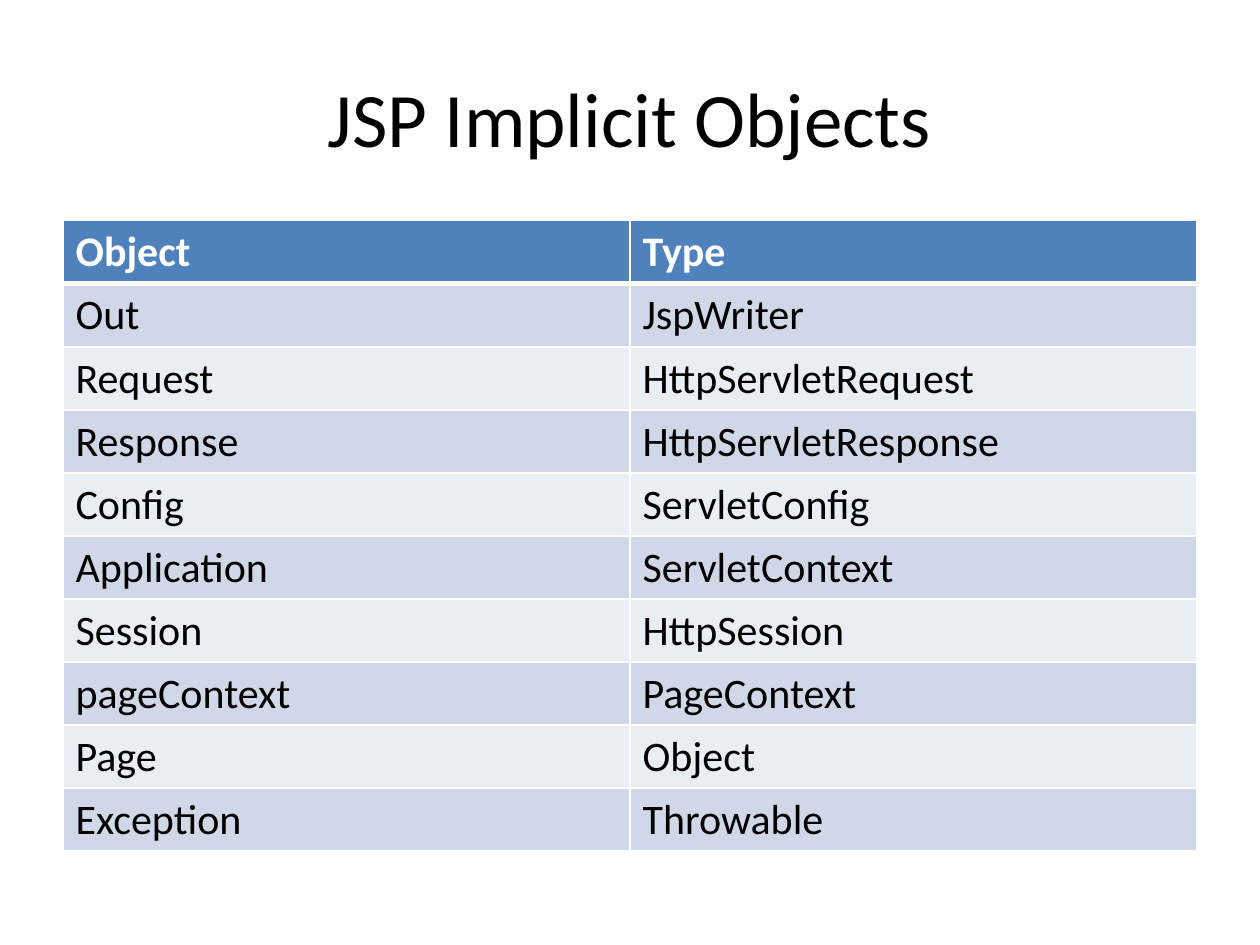
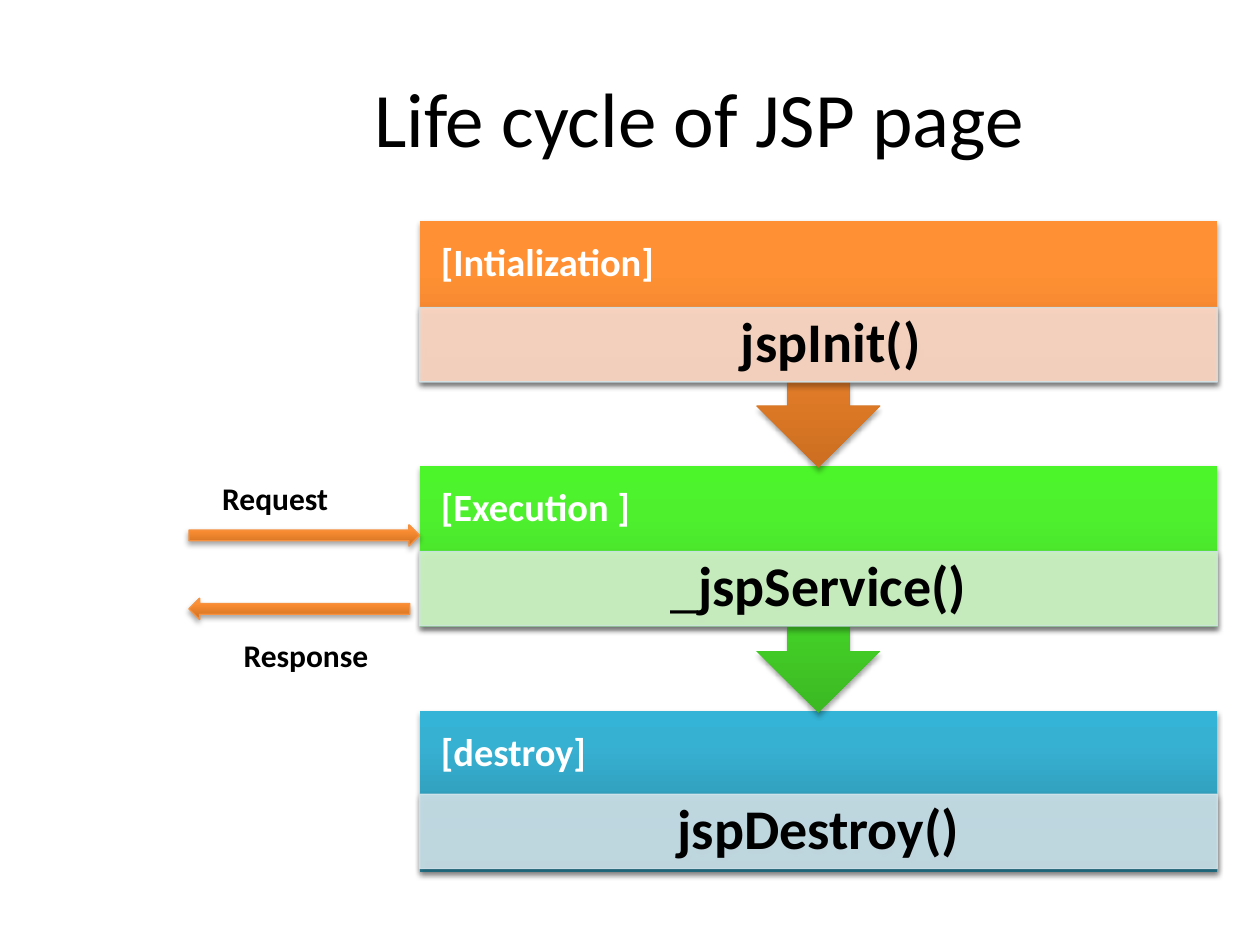
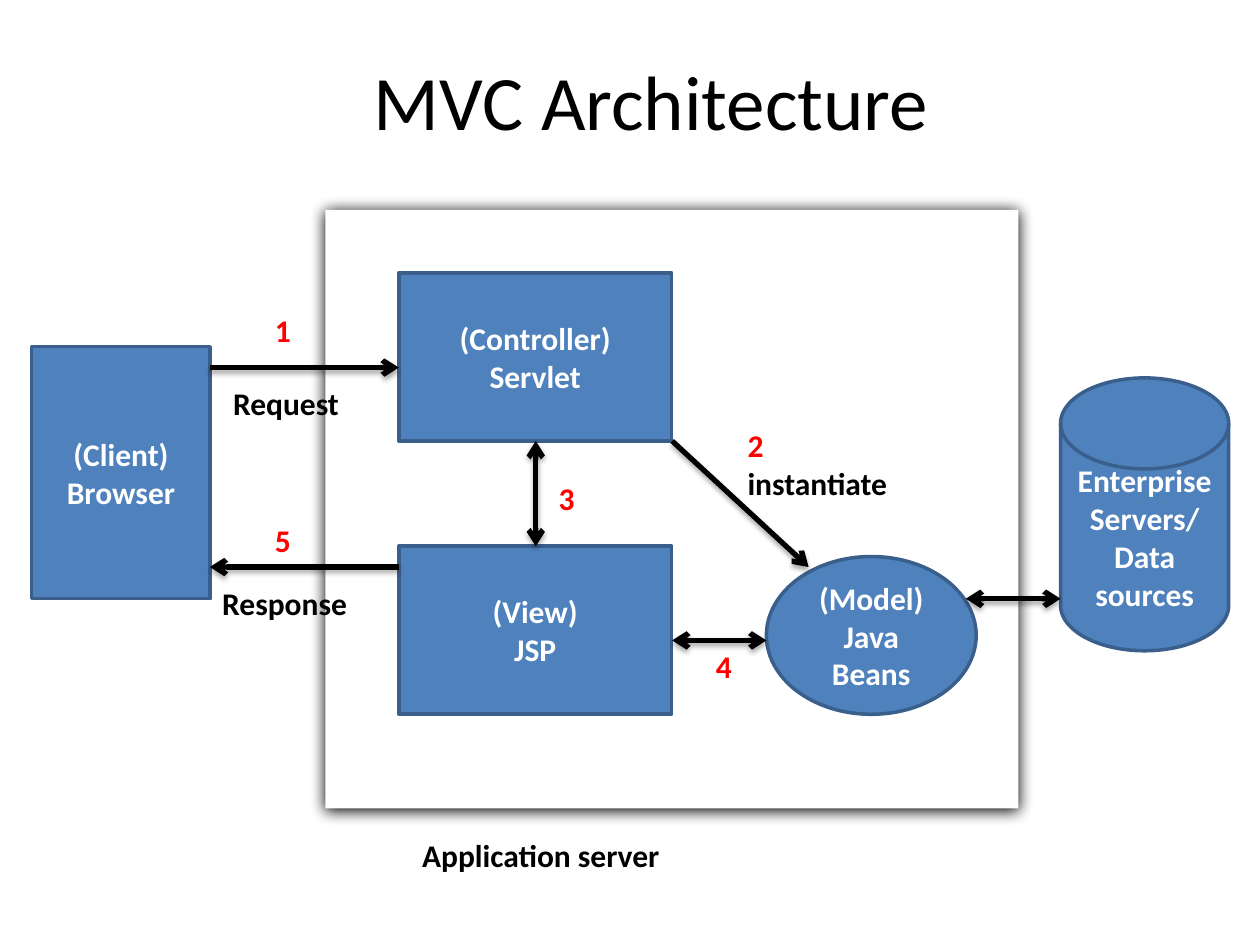
from lxml.etree import SubElement
from pptx import Presentation
from pptx.dml.color import RGBColor
from pptx.enum.shapes import MSO_CONNECTOR, MSO_SHAPE
from pptx.enum.text import MSO_ANCHOR, MSO_AUTO_SIZE, PP_ALIGN
from pptx.oxml.ns import qn
from pptx.util import Cm, Pt

FONT = "Calibri"
BLACK = RGBColor(0x00, 0x00, 0x00)
WHITE = RGBColor(0xFF, 0xFF, 0xFF)
RED = RGBColor(0xFF, 0x00, 0x00)
BLUE = RGBColor(0x4F, 0x81, 0xBD)
BLUE_EDGE = RGBColor(0x3A, 0x5F, 0x8C)
ROW_DARK = RGBColor(0xD0, 0xD8, 0xE8)
ROW_LIGHT = RGBColor(0xE9, 0xED, 0xF4)
BAND_EDGE = RGBColor(0xD0, 0xE3, 0xEA)
ARROW_EDGE = RGBColor(0xF6, 0x92, 0x40)
PEACH = RGBColor(0xFC, 0xDD, 0xCF)
MINT = RGBColor(0xD6, 0xF4, 0xCE)
ORANGES = (RGBColor(0xCC, 0x6E, 0x20), RGBColor(0xFF, 0x90, 0x34), RGBColor(0xFF, 0x91, 0x36))
GREENS = (RGBColor(0x3C, 0xB9, 0x23), RGBColor(0x4E, 0xF0, 0x2E), RGBColor(0x4C, 0xF5, 0x2A))
TEALS = (RGBColor(0x2A, 0x88, 0xA2), RGBColor(0x37, 0xB1, 0xD2), RGBColor(0x34, 0xB4, 0xD6))

SOFT = {"alpha": 35, "blur": 3.1, "dist": 1.8}
STRONG = {"alpha": 100, "blur": 8.5, "dist": 1}

OBJECTS = [
    ("Object", "Type"),
    ("Out", "JspWriter"),
    ("Request", "HttpServletRequest"),
    ("Response", "HttpServletResponse"),
    ("Config", "ServletConfig"),
    ("Application", "ServletContext"),
    ("Session", "HttpSession"),
    ("pageContext", "PageContext"),
    ("Page", "Object"),
    ("Exception", "Throwable"),
]

CALLOUT, BOX = MSO_SHAPE.DOWN_ARROW_CALLOUT, MSO_SHAPE.RECTANGLE
PHASES = [
    ("[Intialization]", [("jspInit()", True)], CALLOUT, 4.98, ORANGES, PEACH, 1.75, 1.14),
    ("[Execution ]", [("_", False), ("jspService()", True)], CALLOUT, 4.98, GREENS, MINT, 1.73, 0.64),
    ("[destroy]", [("jspDestroy()", True)], BOX, 3.25, TEALS, BAND_EDGE, 1.68, 0.64),
]
PHASE_LEFT, PHASE_TOP, PHASE_WIDTH, PHASE_PITCH = 8.46, 4.45, 16.08, 4.94
HEADER_HEIGHT, BAND_HEIGHT = 1.75, 1.5

MESSAGES = [
    (MSO_SHAPE.RIGHT_ARROW, (3.81, 10.58, 4.65, 0.43)),
    (MSO_SHAPE.LEFT_ARROW, (3.81, 12.06, 4.45, 0.43)),
]
MESSAGE_LABELS = [
    ([("Request", BLACK)], (4.23, 9.53, 2.67, 1.02)),
    ([("Response", BLACK)], (4.66, 12.7, 3.05, 1.02)),
]

SERVER = (6.56, 4.23, 13.97, 12.07)
PARTS = [
    (BOX, ["(Client)", "Browser"], (0.64, 6.99, 3.6, 5.08)),
    (BOX, ["(Controller)", "Servlet"], (8.04, 5.5, 5.5, 3.39)),
    (BOX, ["(View)", "JSP"], (8.04, 11.01, 5.5, 3.39)),
    (MSO_SHAPE.OVAL, ["(Model)", "Java Beans"], (15.45, 11.22, 4.23, 3.18)),
    (MSO_SHAPE.FLOWCHART_MAGNETIC_DISK, ["Enterprise Servers/", "Data", "sources"],
     (21.38, 7.62, 3.39, 5.5)),
]
FLOWS = [
    ((4.23, 7.41, 8.04, 7.41), False),
    ((8.04, 11.43, 4.23, 11.43), False),
    ((13.55, 8.89, 16.3, 11.43), False),
    ((19.47, 12.07, 21.38, 12.07), True),
    ((13.55, 12.91, 15.45, 12.91), True),
    ((10.8, 8.89, 10.8, 11.01), True),
]
FLOW_LABELS = [
    ([("Request", BLACK)], (4.45, 7.62, 2.67, 1.02)),
    ([("Response", BLACK)], (4.23, 11.64, 3.05, 1.02)),
    ([("Application server", BLACK)], (8.26, 16.72, 5.72, 1.02)),
    ([("1", RED)], (5.29, 6.14, 0.84, 1.02)),
    ([("5", RED)], (5.29, 10.37, 0.84, 1.02)),
    ([("3", RED)], (11.01, 9.53, 0.84, 1.02)),
    ([("2", RED), ("instantiate", BLACK)], (14.82, 8.47, 3.35, 1.8)),
    ([("4", RED)], (14.18, 12.91, 0.84, 1.02)),
]


def cms(values):
    return [Cm(v) for v in values]


def apply(target, values):
    for name, value in values.items():
        setattr(target, name, value)


def write(p, runs, align=PP_ALIGN.LEFT):
    p.alignment = align
    for text, size, color, bold in runs:
        r = p.add_run()
        r.text = text
        apply(r.font, {"name": FONT, "size": Pt(size), "bold": bold})
        r.font.color.rgb = color


def fill_frame(tf, paragraphs, align=PP_ALIGN.LEFT, **frame):
    apply(tf, {"word_wrap": True, **frame})
    for i, runs in enumerate(paragraphs):
        write(tf.add_paragraph() if i else tf.paragraphs[0], runs, align)


def add_text(s, box, paragraphs, align=PP_ALIGN.LEFT, **frame):
    tf = s.shapes.add_textbox(*cms(box)).text_frame
    fill_frame(tf, paragraphs, align, **frame)
    return tf


def add_color(parent, color, alpha=None):
    clr = SubElement(parent, qn("a:srgbClr"), val=str(color))
    if alpha is not None:
        SubElement(clr, qn("a:alpha"), val=str(alpha * 1000))


def add_shadow(sp, shadow):
    spPr = sp._element.spPr
    effects = spPr.find(qn("a:effectLst"))
    if effects is None:
        effects = SubElement(spPr, qn("a:effectLst"))
    outer = SubElement(effects, qn("a:outerShdw"), blurRad=str(Pt(shadow["blur"])),
                       dist=str(Pt(shadow["dist"])), dir="5400000", rotWithShape="0")
    add_color(outer, BLACK, shadow["alpha"])


def set_gradient(sp, colors):
    sp.fill.background()
    blank = sp._element.spPr.find(qn("a:noFill"))
    grad = blank.makeelement(qn("a:gradFill"), {"rotWithShape": "1"})
    stops = SubElement(grad, qn("a:gsLst"))
    for position, color in zip((0, 80, 100), colors):
        add_color(SubElement(stops, qn("a:gs"), pos=str(position * 1000)), color)
    SubElement(grad, qn("a:lin"), ang="16200000", scaled="0")
    blank.getparent().replace(blank, grad)


def add_shape(s, kind, box, fill, edge=None, width=0.75, shadow=None, alpha=None):
    sp = s.shapes.add_shape(kind, *cms(box))
    if isinstance(fill, RGBColor):
        sp.fill.solid()
        sp.fill.fore_color.rgb = fill
    else:
        set_gradient(sp, fill)
    if edge is None:
        sp.line.fill.background()
    else:
        sp.line.color.rgb = edge
        sp.line.width = Pt(width)
    if alpha is not None:
        for clr in sp._element.spPr.iter(qn("a:srgbClr")):
            SubElement(clr, qn("a:alpha"), val=str(alpha * 1000))
    sp.shadow.inherit = False
    if shadow:
        add_shadow(sp, shadow)
    return sp


def add_flow(s, ends, both):
    line = s.shapes.add_connector(MSO_CONNECTOR.STRAIGHT, *cms(ends))
    line.line.color.rgb = BLACK
    line.line.width = Pt(3)
    ln = line.line._get_or_add_ln()
    for tag in ("a:headEnd", "a:tailEnd") if both else ("a:tailEnd",):
        SubElement(ln, qn(tag), type="arrow")
    add_shadow(line, SOFT)


def add_labels(s, labels):
    for lines, box in labels:
        add_text(s, box, [[(text, 18, color, True)] for text, color in lines],
                 word_wrap=box[2] > 5, auto_size=MSO_AUTO_SIZE.SHAPE_TO_FIT_TEXT)


def add_slide(title, left=1.27, top=0.76, indent=0.25):
    s = prs.slides.add_slide(prs.slide_layouts[6])
    add_text(s, (left, top, 22.86, 3.18), [[(title, 44, BLACK, False)]], PP_ALIGN.CENTER,
             vertical_anchor=MSO_ANCHOR.MIDDLE, margin_left=Cm(indent))
    return s


def set_borders(cell, widths):
    tcPr = cell._tc.get_or_add_tcPr()
    for i, (side, width) in enumerate(widths.items()):
        ln = tcPr.makeelement(qn("a:ln" + side), {"w": str(Pt(width))})
        add_color(SubElement(ln, qn("a:solidFill")), WHITE)
        tcPr.insert(i, ln)


def build_objects():
    s = add_slide("JSP Implicit Objects")
    rows, cols = len(OBJECTS), len(OBJECTS[0])
    table = s.shapes.add_table(rows, cols, *cms((1.27, 4.45, 22.86, 12.7))).table
    for i, row in enumerate(OBJECTS):
        for j, text in enumerate(row):
            cell = table.cell(i, j)
            cell.fill.solid()
            cell.fill.fore_color.rgb = (ROW_DARK if i % 2 else ROW_LIGHT) if i else BLUE
            write(cell.text_frame.paragraphs[0], [(text, 24, BLACK if i else WHITE, i == 0)])
            set_borders(cell, {"L": 1, "R": 1, "T": 3 if i == 1 else 1, "B": 1 if i else 3})


def build_life_cycle():
    s = add_slide("Life cycle of JSP page", indent=3.05)
    for i, phase in reversed(list(enumerate(PHASES))):
        header, method, kind, height, colors, tint, offset, indent = phase
        top = PHASE_TOP + i * PHASE_PITCH
        add_shape(s, kind, (PHASE_LEFT, top, PHASE_WIDTH, height), colors, shadow=SOFT)
        margins = {f"margin_{side}": Cm(0.43) for side in ("left", "top", "right", "bottom")}
        tf = add_text(s, (PHASE_LEFT, top, PHASE_WIDTH, HEADER_HEIGHT),
                      [[(header, 22, WHITE, True)]],
                      vertical_anchor=MSO_ANCHOR.MIDDLE, **margins)
        tf.paragraphs[0].line_spacing = 0.9
        band = add_shape(s, BOX, (PHASE_LEFT, top + offset, PHASE_WIDTH, BAND_HEIGHT), tint,
                         BAND_EDGE, shadow=SOFT, alpha=90)
        fill_frame(band.text_frame, [[(text, 32, BLACK, bold) for text, bold in method]],
                   PP_ALIGN.CENTER, vertical_anchor=MSO_ANCHOR.MIDDLE, margin_left=Cm(indent),
                   margin_right=Cm(0.64), margin_top=Cm(0.1), margin_bottom=Cm(0.1))
        band.text_frame.paragraphs[0].line_spacing = 0.9
    for kind, box in MESSAGES:
        add_shape(s, kind, box, ORANGES, ARROW_EDGE, shadow=SOFT)
    add_labels(s, MESSAGE_LABELS)


def build_mvc():
    s = add_slide("MVC Architecture", left=1.7, top=0.43)
    add_shape(s, BOX, SERVER, WHITE, shadow=STRONG)
    for kind, lines, box in PARTS:
        sp = add_shape(s, kind, box, BLUE, BLUE_EDGE, 2)
        fill_frame(sp.text_frame, [[(text, 18, WHITE, True)] for text in lines],
                   PP_ALIGN.CENTER, vertical_anchor=MSO_ANCHOR.MIDDLE)
    for ends, both in FLOWS:
        add_flow(s, ends, both)
    add_labels(s, FLOW_LABELS)


prs = Presentation()
prs.slide_width, prs.slide_height = cms((25.4, 19.05))
build_objects()
build_life_cycle()
build_mvc()
prs.save("out.pptx")
